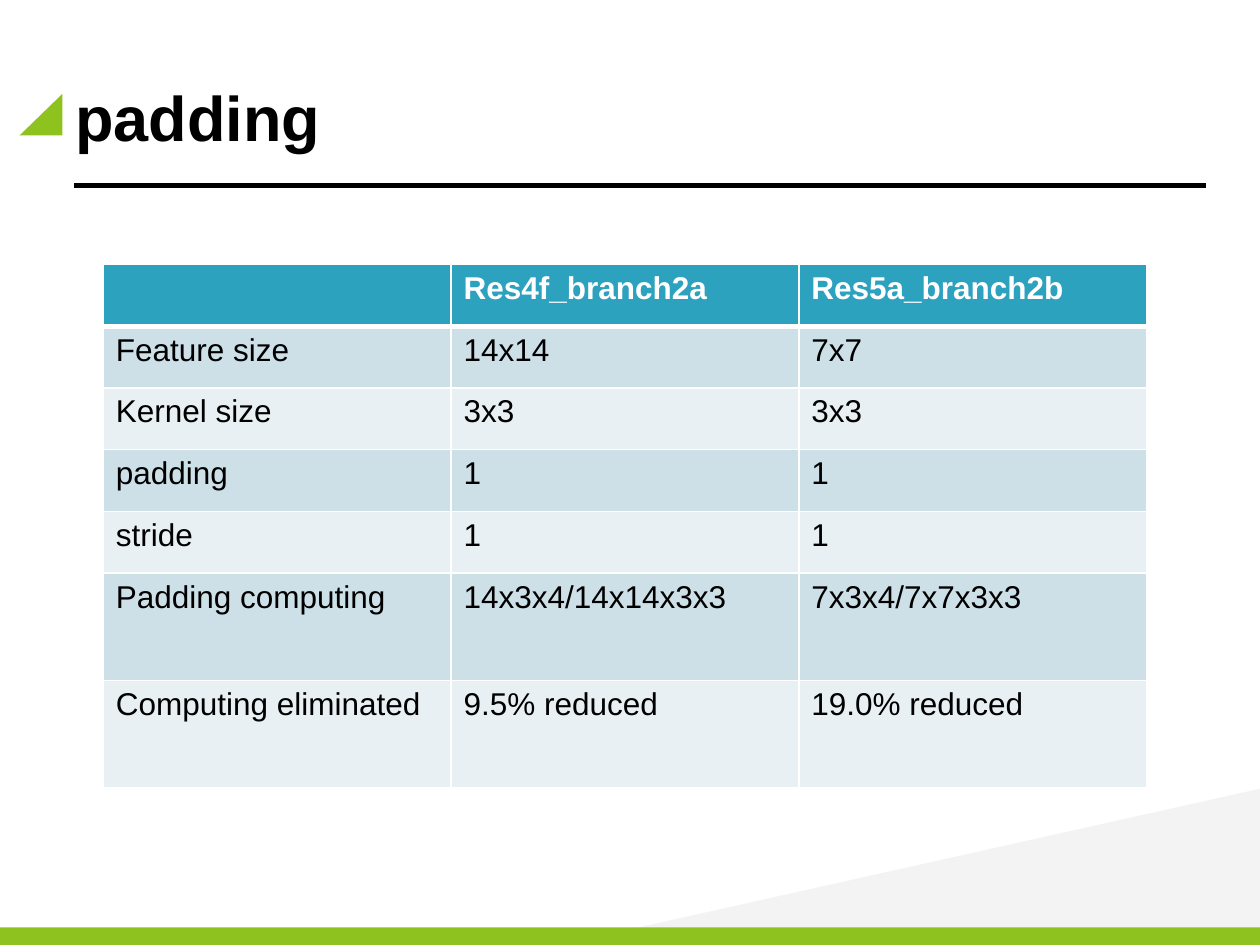
from lxml.etree import SubElement
from pptx import Presentation
from pptx.dml.color import RGBColor
from pptx.enum.shapes import MSO_CONNECTOR, MSO_SHAPE
from pptx.enum.text import MSO_ANCHOR
from pptx.oxml.ns import qn
from pptx.util import Inches, Pt

COLORS = {
    "green": "8EC31F",
    "gray": "F2F2F2",
    "black": "000000",
    "white": "FFFFFF",
    "header": "2DA2BF",
    "dark_band": "CDE0E8",
    "light_band": "E8F0F4",
}


def rgb(name):
    return RGBColor.from_string(COLORS[name])


def add_run(paragraph, text, size, color, bold):
    run = paragraph.add_run()
    run.text = text
    run.font.name = "Arial"
    run.font.size = Pt(size)
    run.font.bold = bold
    run.font.color.rgb = rgb(color)


prs = Presentation()
prs.slide_width = Inches(10)
prs.slide_height = Inches(7.5)
slide = prs.slides.add_slide(prs.slide_layouts[6])

decorations = [
    (MSO_SHAPE.RIGHT_TRIANGLE, 6.52, 4.05, 1.27, 5.69, 270, "gray"),
    (MSO_SHAPE.RIGHT_TRIANGLE, 0.16, 0.74, 0.33, 0.34, 270, "green"),
    (MSO_SHAPE.RECTANGLE, 0, 7.36, 10, 0.14, 0, "green"),
]
for preset, left, top, width, height, rotation, color in decorations:
    decoration = slide.shapes.add_shape(
        preset, Inches(left), Inches(top), Inches(width), Inches(height))
    decoration.rotation = rotation
    decoration.shadow.inherit = False
    decoration.fill.solid()
    decoration.fill.fore_color.rgb = rgb(color)
    decoration.line.fill.background()
    if color == "gray":
        tint = decoration.fill._xPr.find(".//" + qn("a:srgbClr"))
        SubElement(tint, qn("a:alpha"), val="90000")

title = slide.shapes.add_textbox(Inches(0.5), Inches(0.3), Inches(9), Inches(1.25))
title.text_frame.word_wrap = True
title.text_frame.vertical_anchor = MSO_ANCHOR.MIDDLE
add_run(title.text_frame.paragraphs[0], "padding", 36, "black", True)

title_rule = slide.shapes.add_connector(
    MSO_CONNECTOR.STRAIGHT, Inches(0.59), Inches(1.47), Inches(9.57), Inches(1.47))
title_rule.line.color.rgb = rgb("black")
title_rule.line.width = Pt(3)
SubElement(title_rule._element.spPr, qn("a:effectLst"))

layers = [
    ("", "Res4f_branch2a", "Res5a_branch2b"),
    ("Feature size", "14x14", "7x7"),
    ("Kernel size", "3x3", "3x3"),
    ("padding", "1", "1"),
    ("stride", "1", "1"),
    ("Padding computing", "14x3x4/14x14x3x3", "7x3x4/7x7x3x3"),
    ("Computing eliminated", "9.5% reduced", "19.0% reduced"),
]
row_heights = [0.49] * 5 + [0.85] * 2
comparison = slide.shapes.add_table(
    len(layers), 3, Inches(0.82), Inches(2.1), Inches(8.27), Inches(4.17)).table
for column in comparison.columns:
    column.width = Inches(2.76)

for r, (values, height) in enumerate(zip(layers, row_heights)):
    comparison.rows[r].height = Inches(height)
    is_header = r == 0
    band = "header" if is_header else "dark_band" if r % 2 else "light_band"
    for c, value in enumerate(values):
        cell = comparison.cell(r, c)
        borders = cell._tc.get_or_add_tcPr()
        for side in ("L", "R", "T", "B"):
            thick = (r, side) in [(0, "B"), (1, "T")]
            edge = SubElement(borders, qn(f"a:ln{side}"), w=str(Pt(3 if thick else 1)))
            paint = SubElement(edge, qn("a:solidFill"))
            SubElement(paint, qn("a:srgbClr"), val=COLORS["white"])
        cell.fill.solid()
        cell.fill.fore_color.rgb = rgb(band)
        if value:
            add_run(cell.text_frame.paragraphs[0], value, 18,
                    "white" if is_header else "black", is_header)

prs.save("out.pptx")
